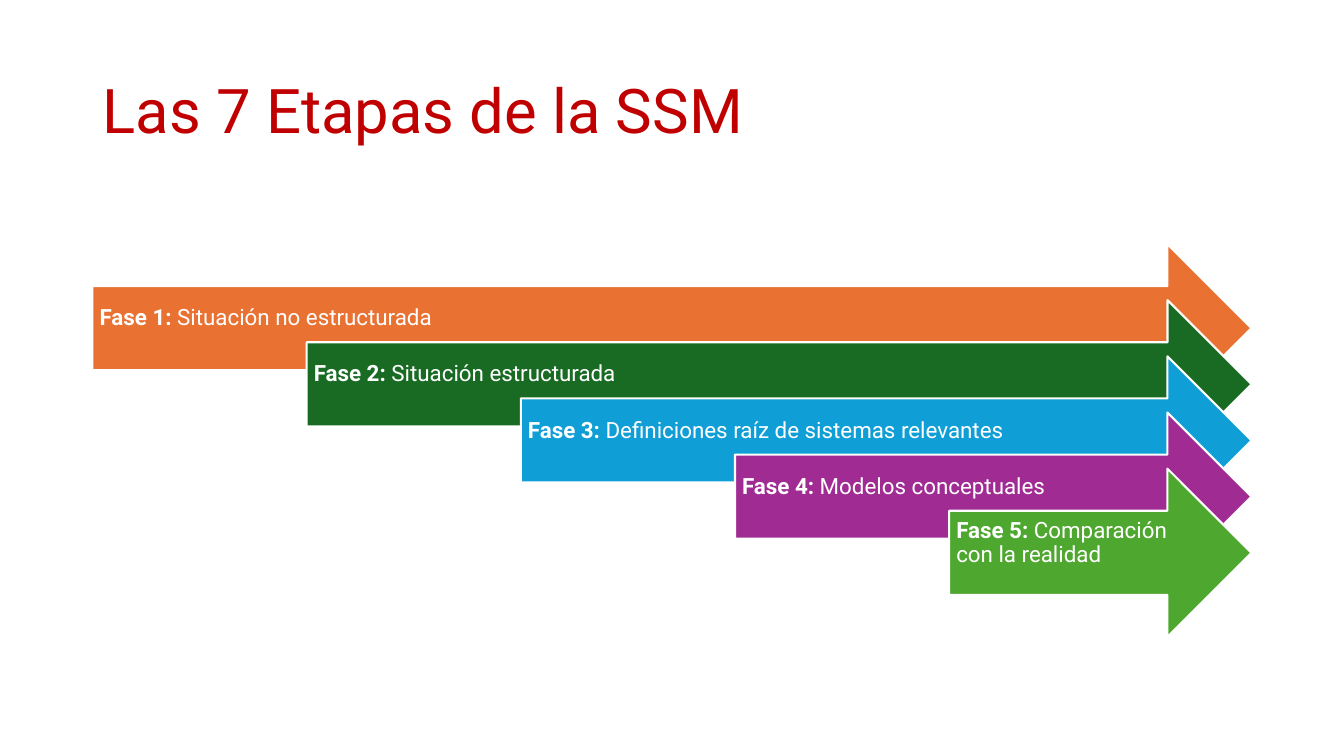
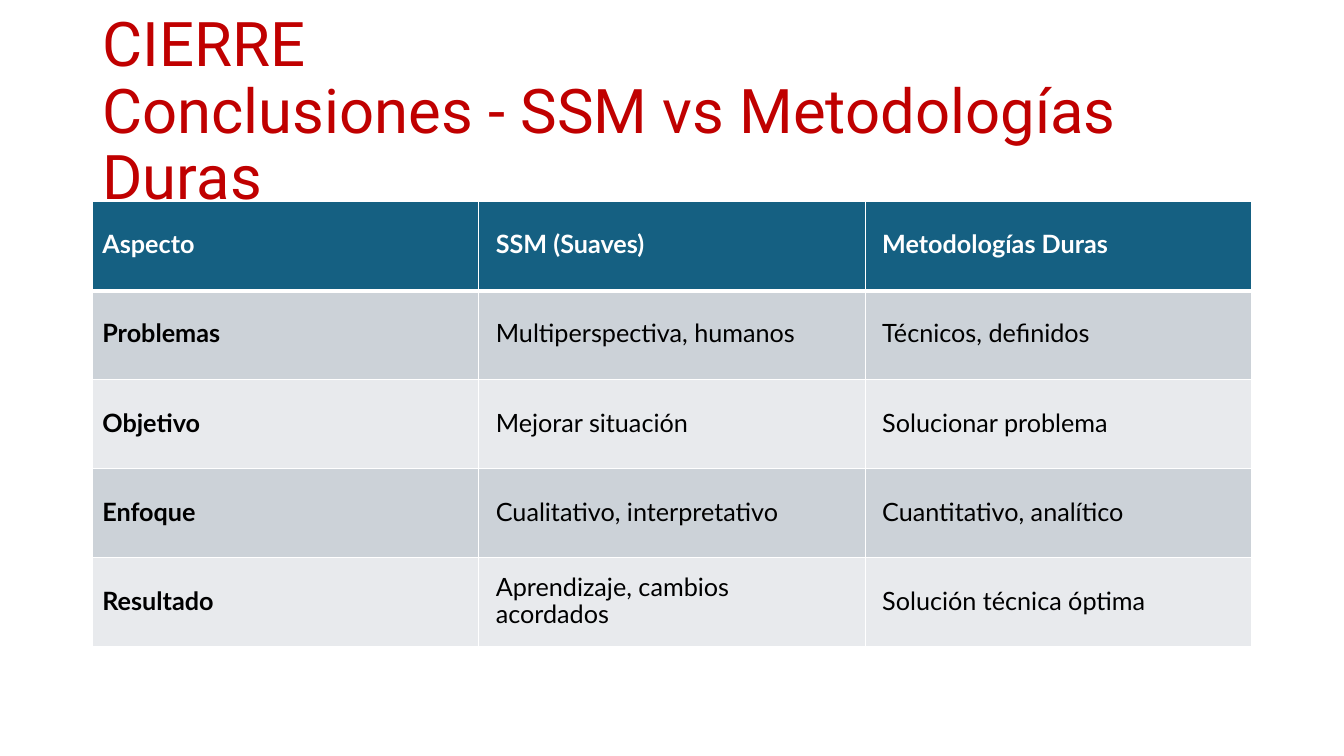
from dataclasses import dataclass

from pptx import Presentation
from pptx.dml.color import RGBColor
from pptx.enum.shapes import MSO_SHAPE
from pptx.enum.text import MSO_ANCHOR, MSO_AUTO_SIZE, PP_ALIGN
from pptx.oxml import parse_xml
from pptx.oxml.ns import nsdecls
from pptx.util import Cm, Pt

RIGHT_ARROW = MSO_SHAPE.RIGHT_ARROW
MIDDLE = MSO_ANCHOR.MIDDLE
LEFT = PP_ALIGN.LEFT
NO_AUTOFIT = MSO_AUTO_SIZE.NONE
TITLE_ONLY = 5


@dataclass(frozen=True)
class Theme:
    title_font: str = "Roboto"
    table_font: str = "Lato"
    title_size: float = 44
    phase_size: float = 16
    table_size: float = 18
    table_leading: float = 18.8
    title_color: str = "C00000"
    white: str = "FFFFFF"
    black: str = "000000"
    header_fill: str = "156082"
    row_fills: tuple = ("CCD2D8", "E8EAED")
    phase_fills: tuple = ("E97132", "196B24", "0F9ED5", "A02B93", "4EA72E")


@dataclass(frozen=True)
class Box:
    left: float
    top: float
    width: float
    height: float

    def lengths(self):
        return Cm(self.left), Cm(self.top), Cm(self.width), Cm(self.height)


THEME = Theme()
TITLE_BOX = Box(2.33, 1.01, 29.21, 3.68)
ARROWS_BOX = Box(2.33, 6.15, 29.21, 9.9)
TABLE_BOX = Box(2.33, 5.08, 29.21, 11.22)

PHASES = [
    ("Fase 1:", "Situación no estructurada"),
    ("Fase 2:", "Situación estructurada"),
    ("Fase 3:", "Definiciones raíz de sistemas relevantes"),
    ("Fase 4:", "Modelos conceptuales"),
    ("Fase 5:", "Comparación con la realidad"),
]
COMPARISON = [
    ("Aspecto", "SSM (Suaves)", "Metodologías Duras"),
    ("Problemas", "Multiperspectiva, humanos", "Técnicos, definidos"),
    ("Objetivo", "Mejorar situación", "Solucionar problema"),
    ("Enfoque", "Cualitativo, interpretativo", "Cuantitativo, analítico"),
    ("Resultado", "Aprendizaje, cambios acordados", "Solución técnica óptima"),
]


def style_paragraph(paragraph, font_name, size, color, leading, bold=None):
    paragraph.alignment = LEFT
    paragraph.line_spacing = leading
    font = paragraph.font
    font.name = font_name
    font.size = Pt(size)
    font.bold = bold
    font.color.rgb = RGBColor.from_string(color)


def set_margins(target, left, top, right, bottom):
    target.margin_left, target.margin_top = Cm(left), Cm(top)
    target.margin_right, target.margin_bottom = Cm(right), Cm(bottom)


def add_page(deck, title_lines):
    page = deck.slides.add_slide(deck.slide_layouts[TITLE_ONLY])
    title = page.shapes.title
    title.left, title.top, title.width, title.height = TITLE_BOX.lengths()
    frame = title.text_frame
    frame.word_wrap = True
    frame.auto_size = NO_AUTOFIT
    frame.vertical_anchor = MIDDLE
    paragraph = frame.paragraphs[0]
    for index, line in enumerate(title_lines):
        if index:
            paragraph.add_line_break()
        paragraph.add_run().text = line
    style_paragraph(paragraph, THEME.title_font, THEME.title_size, THEME.title_color, 0.9)
    return page


def add_phase_arrow(page, box, fill, label, description):
    arrow = page.shapes.add_shape(RIGHT_ARROW, *box.lengths())
    arrow.shadow.inherit = False
    arrow.fill.solid()
    arrow.fill.fore_color.rgb = RGBColor.from_string(fill)
    arrow.line.color.rgb = RGBColor.from_string(THEME.white)
    arrow.line.width = Pt(1.5)
    frame = arrow.text_frame
    frame.word_wrap = True
    frame.vertical_anchor = MIDDLE
    set_margins(frame, 0.18, 0.18, 0.71, 0.67)
    paragraph = frame.paragraphs[0]
    style_paragraph(paragraph, THEME.title_font, THEME.phase_size, THEME.white, 0.9)
    for text, bold in ((label, True), (f" {description}", False)):
        span = paragraph.add_run()
        span.text = text
        span.font.bold = bold


def add_phase_arrows(page, box):
    arrow_height = 4.24
    shortest_width = 7.62
    steps = len(PHASES) - 1
    step_right = (box.width - shortest_width) / steps
    step_down = (box.height - arrow_height) / steps
    for index, (fill, phase) in enumerate(zip(THEME.phase_fills, PHASES)):
        shift = index * step_right
        arrow_box = Box(box.left + shift, box.top + index * step_down,
                        box.width - shift, arrow_height)
        add_phase_arrow(page, arrow_box, fill, *phase)


def set_borders(cell, top, bottom):
    properties = cell._tc.get_or_add_tcPr()
    for side, width in (("L", 1), ("R", 1), ("T", top), ("B", bottom)):
        properties.append(parse_xml(
            f'<a:ln{side} {nsdecls("a")} w="{Pt(width)}"><a:solidFill>'
            f'<a:srgbClr val="{THEME.white}"/></a:solidFill></a:ln{side}>'))


def fill_cell(cell, text, row, column):
    header = row == 0
    set_borders(cell, top=3 if row == 1 else 1, bottom=3 if header else 1)
    fill = THEME.header_fill if header else THEME.row_fills[(row - 1) % 2]
    cell.fill.solid()
    cell.fill.fore_color.rgb = RGBColor.from_string(fill)
    cell.vertical_anchor = MIDDLE
    set_margins(cell, 0.43 if column else 0.25, 0.25, 0.43, 0.25)
    cell.text = text
    style_paragraph(cell.text_frame.paragraphs[0], THEME.table_font, THEME.table_size,
                    THEME.white if header else THEME.black,
                    Pt(THEME.table_leading), bold=header or column == 0)


def add_comparison_table(page, box):
    row_count, column_count = len(COMPARISON), len(COMPARISON[0])
    table = page.shapes.add_table(row_count, column_count, *box.lengths()).table
    table.horz_banding = False
    for table_column in table.columns:
        table_column.width = Cm(box.width / column_count)
    for table_row in table.rows:
        table_row.height = Cm(box.height / row_count)
    for row, texts in enumerate(COMPARISON):
        for column, text in enumerate(texts):
            fill_cell(table.cell(row, column), text, row, column)


def main():
    deck = Presentation()
    deck.slide_width, deck.slide_height = Cm(33.87), Cm(19.05)
    stages_page = add_page(deck, ["Las 7 Etapas de la SSM"])
    add_phase_arrows(stages_page, ARROWS_BOX)
    closing_page = add_page(deck, ["CIERRE", "Conclusiones - SSM vs Metodologías Duras"])
    add_comparison_table(closing_page, TABLE_BOX)
    deck.save("out.pptx")


if __name__ == "__main__":
    main()
